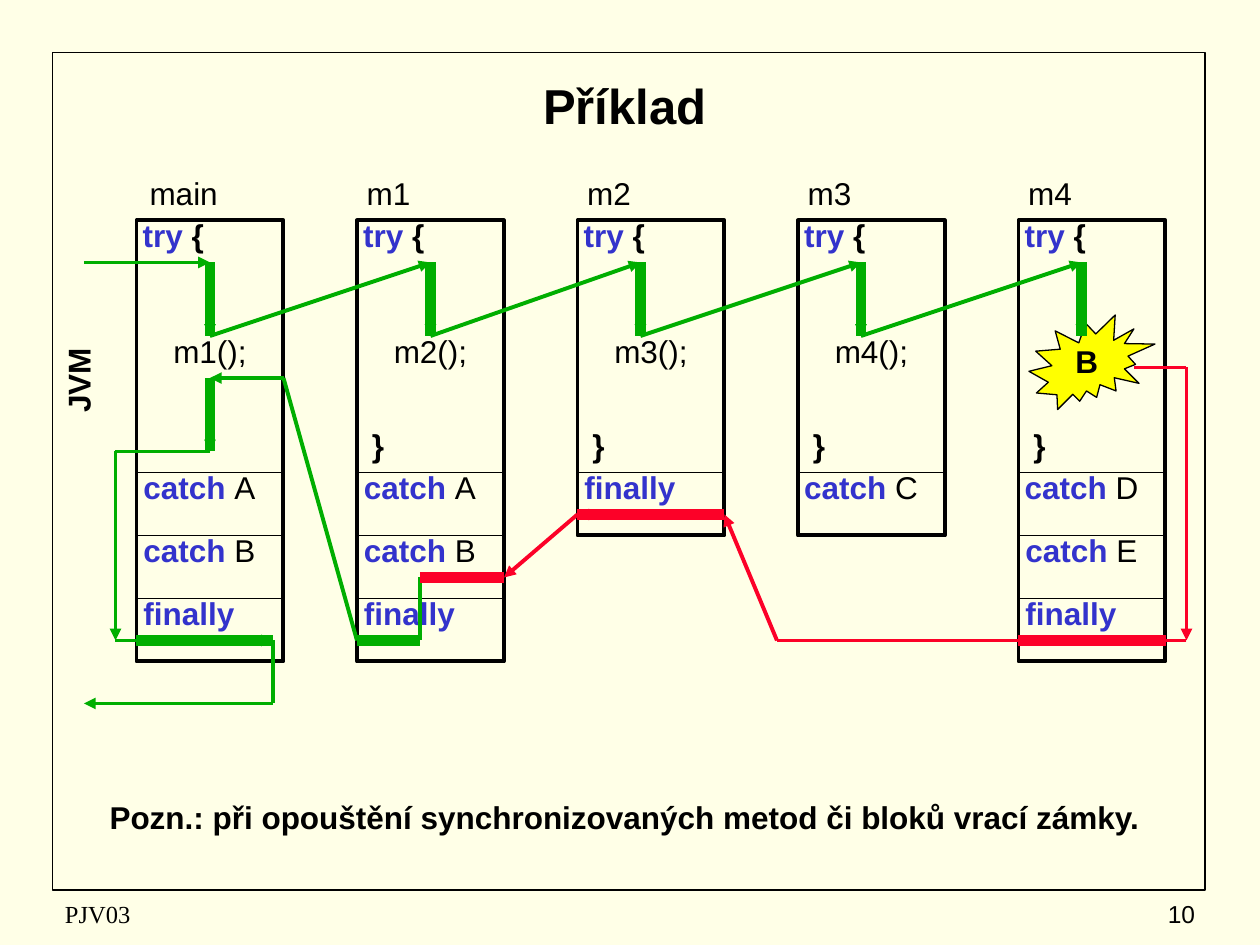
from itertools import pairwise

from lxml import etree
from pptx import Presentation
from pptx.dml.color import RGBColor
from pptx.enum.shapes import MSO_CONNECTOR as Connector, MSO_SHAPE as Shape
from pptx.enum.text import MSO_ANCHOR as Anchor, PP_ALIGN as Align
from pptx.oxml.ns import qn
from pptx.util import Cm, Pt

CREAM = RGBColor(0xFF, 0xFF, 0xE7)
BLACK = RGBColor(0x00, 0x00, 0x00)
BLUE = RGBColor(0x33, 0x33, 0xCC)
GREEN = RGBColor(0x00, 0xAE, 0x00)
RED = RGBColor(0xFC, 0x01, 0x28)
YELLOW = RGBColor(0xFF, 0xFF, 0x00)

THIN, THICK = 2.25, 6
ROW = 4.8  # height of a one-line text box, in grid steps


def grid(steps):
    """Turn grid steps, twelve to the inch, into a length."""
    return Cm(steps * 2.54 / 12)


class Diagram:
    def __init__(self, page, font="Arial", size=18):
        self.page = page
        self.font = font
        self.size = size

    def fill_text(self, box, spans, align=Align.CENTER, anchor=Anchor.TOP, **style):
        """Fill a box with spans, each a pair of text and its own font values."""
        frame = box.text_frame
        frame.word_wrap = True
        frame.vertical_anchor = anchor
        para = frame.paragraphs[0]
        para.alignment = align
        for text, own in spans:
            span = para.add_run()
            span.text = text
            values = {"name": self.font, "size": self.size, "bold": False,
                      "color": BLACK, **style, **own}
            span.font.color.rgb = values.pop("color")
            values["size"] = Pt(values["size"])
            for name, value in values.items():
                setattr(span.font, name, value)

    def title(self, text, place):
        box = self.page.shapes.title
        for name, steps in zip(("left", "top", "width", "height"), place):
            setattr(box, name, grid(steps))
        self.fill_text(box, [(text, {})], anchor=Anchor.MIDDLE, size=28, bold=True)

    def text(self, left, top, width, *spans, height=ROW, **style):
        box = self.page.shapes.add_textbox(*map(grid, (left, top, width, height)))
        pairs = [(span, {}) if isinstance(span, str) else span for span in spans]
        self.fill_text(box, pairs, **style)
        return box

    def shape(self, kind, place, width, fill=None):
        shape = self.page.shapes.add_shape(kind, *map(grid, place))
        shape.shadow.inherit = False
        shape.line.color.rgb = BLACK
        shape.line.width = Pt(width)
        if fill is None:
            shape.fill.background()
        else:
            shape.fill.solid()
            shape.fill.fore_color.rgb = fill

    def line(self, start, end, color=BLACK, width=0.75, arrow=False):
        line = self.page.shapes.add_connector(
            Connector.STRAIGHT, *map(grid, (*start, *end)))
        line.line.color.rgb = color
        line.line.width = Pt(width)
        properties = line._element.spPr
        if arrow:
            outline = properties.find(qn("a:ln"))
            etree.SubElement(outline, qn("a:tailEnd"), type="triangle")
        etree.SubElement(properties, qn("a:effectLst"))

    def route(self, color, points, arrows=()):
        """Join the points with lines; arrows holds the numbers of arrowed legs."""
        for leg, (start, end) in enumerate(pairwise(points)):
            self.line(start, end, color, THIN, leg in arrows)


def keyword(word):
    return word, {"color": BLUE, "bold": True}


def draw_method(diagram, left, name, call, handlers):
    """Draw one method: its frame, try block and catch or finally sections."""
    height = 30 if len(handlers) == 1 else 42
    diagram.shape(Shape.RECTANGLE, (left, 21, 14, height), THIN)
    if name == "main":
        diagram.text(left - 4, 16, 17, name)
    else:
        diagram.text(left - 1, 16, 8, name)
        diagram.text(left - 1, 40, 6, "}", bold=True)
    diagram.text(left - 2, 20, 11, keyword("try "), "{", bold=True)
    if call:
        diagram.text(left + 2, 31, 10, call)
    for number, handler in enumerate(handlers):
        top = 45 + 6 * number
        diagram.line((left, top), (left + 14, top))
        if handler == "finally":
            diagram.text(left - 2, top - 1, 14, keyword("finally"))
        else:
            diagram.text(left - 1, top - 1, 14, keyword("catch "), handler)


def draw_flow(diagram):
    """Draw the calls in green and the way of the exception in red."""
    bars = (20, 41, 61, 82, 103)
    calls = [(8, 25)]
    for x in bars:
        calls += [(x, 25), (x, 32)]
    diagram.route(GREEN, calls, arrows=range(len(calls)))

    diagram.route(RED, [(108, 35), (113, 35), (113, 61), (74, 61), (69, 49),
                        (55, 49), (48, 55)], arrows=(1, 3, 4, 5))
    diagram.route(GREEN, [(40, 55), (40, 61)])
    diagram.route(GREEN, [(34, 61), (27, 36), (20, 36), (20, 43), (11, 43),
                          (11, 61), (26, 61), (26, 67), (8, 67)],
                  arrows=(1, 2, 4, 5, 7))

    running = [((x, 32), (x, 25)) for x in bars]
    running += [((20, 43), (20, 36)), ((40, 61), (34, 61)), ((13, 61), (26, 61))]
    failing = [((97, 61), (111, 61)), ((55, 49), (69, 49)), ((40, 55), (48, 55))]
    for color, segments in ((RED, failing), (GREEN, running)):
        for start, end in segments:
            diagram.line(start, end, color, THICK)


def main():
    deck = Presentation()
    deck.slide_width, deck.slide_height = grid(120), grid(90)
    page = deck.slides.add_slide(deck.slide_layouts[5])
    page.background.fill.solid()
    page.background.fill.fore_color.rgb = CREAM

    diagram = Diagram(page)
    diagram.shape(Shape.RECTANGLE, (5, 5, 109.8, 79.8), 1)
    diagram.text(5, 85, 38, "PJV03", height=4, align=Align.LEFT,
                 anchor=Anchor.MIDDLE, name="Times New Roman", size=14)
    diagram.text(90, 85, 25, "10", height=4, align=Align.RIGHT,
                 anchor=Anchor.MIDDLE, size=14)
    diagram.title("Příklad", (6, 6, 107, 8))

    methods = [
        ("main", "m1();", ("A", "B", "finally")),
        ("m1", "m2();", ("A", "B", "finally")),
        ("m2", "m3();", ("finally",)),
        ("m3", "m4();", ("C",)),
        ("m4", None, ("D", "E", "finally")),
    ]
    for column, (name, call, handlers) in enumerate(methods):
        draw_method(diagram, 13 + 21 * column, name, call, handlers)

    diagram.shape(Shape.EXPLOSION2, (98, 30, 12, 9), 0.75, YELLOW)
    diagram.text(100, 32, 7, "B", bold=True)
    draw_flow(diagram)

    diagram.text(2.94, 33.84, 9, "JVM", bold=True).rotation = 270
    note = diagram.text(
        6, 76, 107,
        "Pozn.: při opouštění synchronizovaných metod či bloků vrací zámky.",
        height=7, bold=True)
    note.text_frame.margin_top = 0
    deck.save("out.pptx")


if __name__ == "__main__":
    main()
